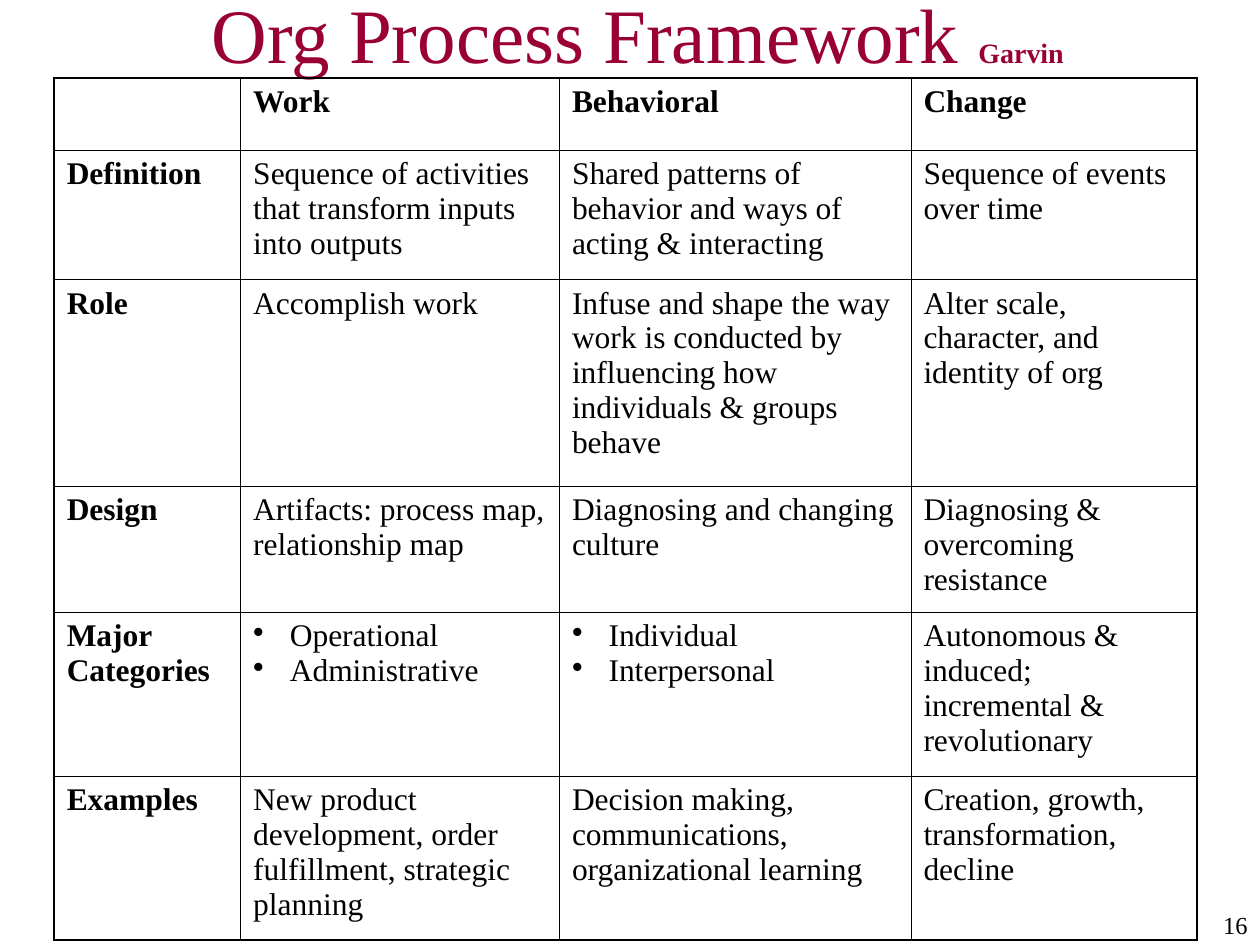
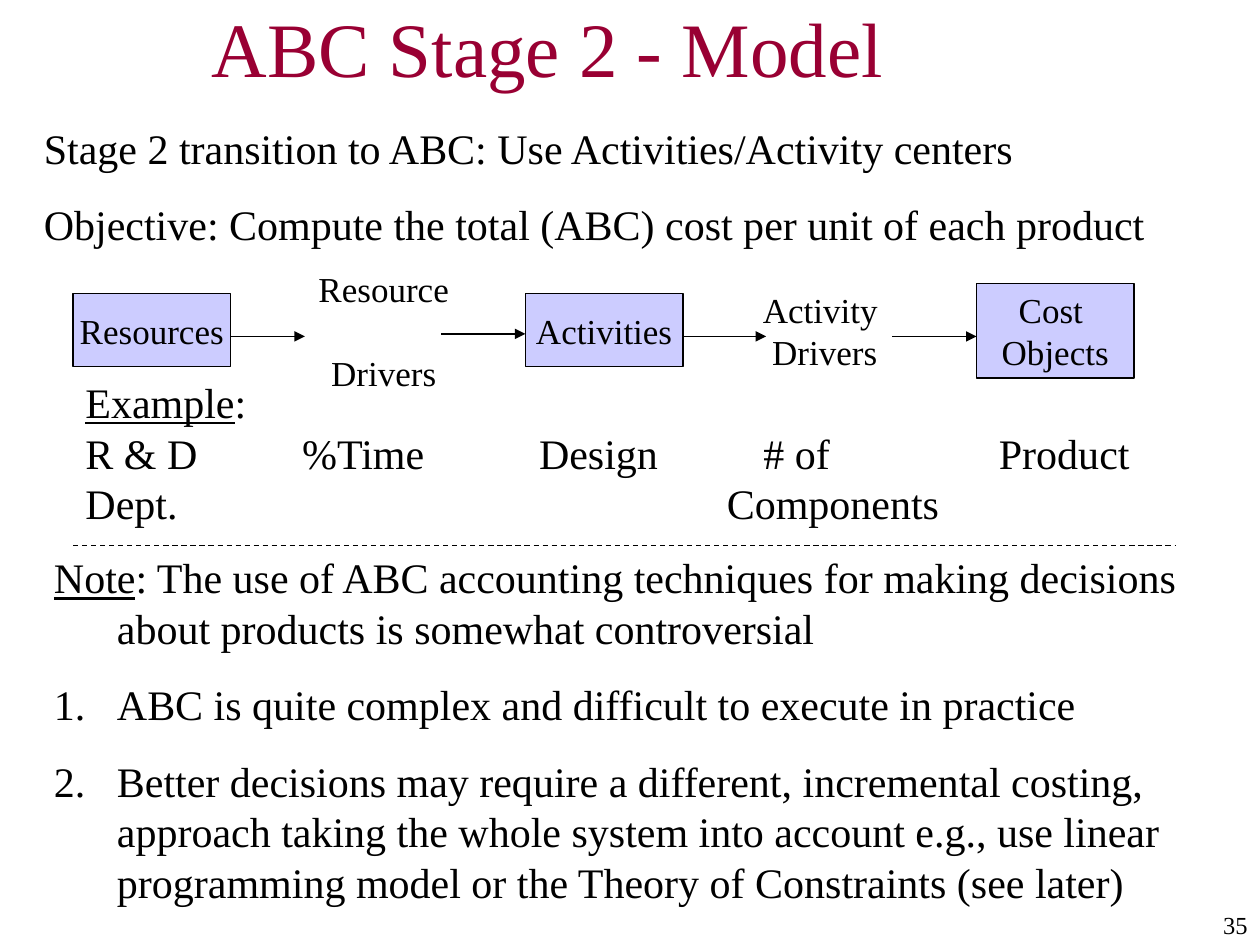
from typing import NamedTuple

from lxml.etree import SubElement
from pptx import Presentation
from pptx.dml.color import RGBColor
from pptx.enum.dml import MSO_LINE_DASH_STYLE as Dash
from pptx.enum.shapes import MSO_CONNECTOR as Connector, MSO_SHAPE as Shape
from pptx.enum.text import MSO_ANCHOR as Anchor, PP_ALIGN as Align
from pptx.oxml.ns import qn
from pptx.util import Inches, Pt

COLORS = {"ink": "000000", "title": "990033", "box": "CCCCFF", "paper": "FFFFFF"}
FONT = "Times New Roman"
LEADING = 1.2
THIN, THICK = Pt(0.45), Pt(1.08)


class Span(NamedTuple):
    text: str
    size: float | None = None
    bold: bool = False
    underline: bool = False


class Para(NamedTuple):
    spans: list[Span]
    before: float = 0
    hanging: float = 0
    bullet: str = ""
    number: str = ""
    tabs: tuple[float, ...] = ()


class FlowStep(NamedTuple):
    text: str
    left: float
    top: float
    height: float
    boxed: bool


class Arrow(NamedTuple):
    start: float
    end: float
    y: float


FRAMEWORK_COLUMNS = [1.48, 2.53, 2.79, 2.27]
FRAMEWORK_ROWS = [0.57, 1.03, 1.64, 1, 1.3, 1.3]
FRAMEWORK = [
    ["", "Work", "Behavioral", "Change"],
    ["Definition", "Sequence of activities that transform inputs into outputs",
     "Shared patterns of behavior and ways of acting & interacting",
     "Sequence of events over time"],
    ["Role", "Accomplish work",
     "Infuse and shape the way work is conducted by influencing how individuals & groups behave",
     "Alter scale, character, and identity of org"],
    ["Design", "Artifacts: process map, relationship map",
     "Diagnosing and changing culture", "Diagnosing & overcoming resistance"],
    ["Major Categories", ["Operational", "Administrative"],
     ["Individual", "Interpersonal"],
     "Autonomous & induced; incremental & revolutionary"],
    ["Examples", "New product development, order fulfillment, strategic planning",
     "Decision making, communications, organizational learning",
     "Creation, growth, transformation, decline"],
]

FLOW = [
    FlowStep("Resources", 0.58, 2.33, 0.58, True),
    FlowStep("Resource \vDrivers", 2.42, 2.25, 0.75, False),
    FlowStep("Activities", 4.17, 2.33, 0.58, True),
    FlowStep("Activity \vDrivers", 5.92, 2.25, 0.75, False),
    FlowStep("Cost \vObjects", 7.75, 2.25, 0.75, True),
]
ARROWS = [
    Arrow(1.83, 2.42, 2.67),
    Arrow(3.5, 4.17, 2.65),
    Arrow(5.42, 6.08, 2.67),
    Arrow(7.08, 7.75, 2.67),
]


def rgb(name: str) -> RGBColor:
    return RGBColor.from_string(COLORS[name])


def write(frame, content, *, size=24, color="ink", align=Align.LEFT,
          anchor=Anchor.TOP, wrap=True, leading=LEADING):
    frame.word_wrap = wrap
    frame.vertical_anchor = anchor
    fill_paragraphs(frame, content, size=size, color=color, align=align, leading=leading)


def fill_paragraphs(frame, content, *, size=24, color="ink", align=Align.LEFT, leading=None):
    paras = [Para([Span(content)])] if isinstance(content, str) else content
    for index, para in enumerate(paras):
        paragraph = frame.add_paragraph() if index else frame.paragraphs[0]
        paragraph.alignment = align
        paragraph.space_before = Pt(para.before)
        if leading:
            paragraph.line_spacing = Pt(size * leading)
        set_indents(paragraph, para)
        for span in para.spans:
            for line, piece in enumerate(span.text.split("\v")):
                if line:
                    paragraph.add_line_break()
                run = paragraph.add_run()
                run.text = piece
                run.font.name = FONT
                run.font.size = Pt(span.size or size)
                run.font.bold = span.bold
                run.font.underline = span.underline
                run.font.color.rgb = rgb(color)


def set_indents(paragraph, para: Para):
    props = paragraph._p.get_or_add_pPr()
    if para.hanging:
        props.set("marL", str(Inches(para.hanging)))
        props.set("indent", str(-Inches(para.hanging)))
    if para.bullet:
        SubElement(props, qn("a:buChar"), char=para.bullet)
    if para.number:
        SubElement(props, qn("a:buAutoNum"), type=para.number)
    if para.tabs:
        stops = SubElement(props, qn("a:tabLst"))
        for stop in para.tabs:
            SubElement(stops, qn("a:tab"), pos=str(Inches(stop)), algn="l")


def add_text(slide, content, left: float, top: float, width: float, height: float, **style):
    box = slide.shapes.add_textbox(Inches(left), Inches(top), Inches(width), Inches(height))
    write(box.text_frame, content, **style)


def add_line(slide, start: float, end: float, y: float, *, arrow=False, dashed=False):
    line = slide.shapes.add_connector(
        Connector.STRAIGHT, Inches(start), Inches(y), Inches(end), Inches(y))
    line.line.color.rgb = rgb("ink")
    line.line.width = Pt(0.75)
    if dashed:
        line.line.dash_style = Dash.DASH
    if arrow:
        SubElement(line.line._get_or_add_ln(), qn("a:tailEnd"), type="triangle")
    SubElement(line._element.spPr, qn("a:effectLst"))


def add_flow_step(slide, step: FlowStep):
    style = dict(size=20, align=Align.CENTER, anchor=Anchor.MIDDLE, wrap=False)
    if not step.boxed:
        add_text(slide, step.text, step.left, step.top, 1.25, step.height, **style)
        return
    box = slide.shapes.add_shape(
        Shape.RECTANGLE, Inches(step.left), Inches(step.top), Inches(1.25), Inches(step.height))
    box.shadow.inherit = False
    box.fill.solid()
    box.fill.fore_color.rgb = rgb("box")
    box.line.color.rgb = rgb("ink")
    box.line.width = Pt(0.75)
    write(box.text_frame, step.text, **style)


def set_borders(cell, **widths):
    props = cell._tc.get_or_add_tcPr()
    for side in ("L", "R", "T", "B"):
        border = SubElement(props, qn(f"a:ln{side}"), w=str(widths[side]))
        ink = SubElement(border, qn("a:solidFill"))
        SubElement(ink, qn("a:srgbClr"), val=COLORS["ink"])


def add_framework(slide):
    rows, columns = len(FRAMEWORK_ROWS), len(FRAMEWORK_COLUMNS)
    table = slide.shapes.add_table(
        rows, columns, Inches(0.43), Inches(0.62),
        Inches(sum(FRAMEWORK_COLUMNS)), Inches(sum(FRAMEWORK_ROWS))).table
    table.first_row = table.horz_banding = False
    for column, width in zip(table.columns, FRAMEWORK_COLUMNS):
        column.width = Inches(width)
    for r, (height, entries) in enumerate(zip(FRAMEWORK_ROWS, FRAMEWORK)):
        table.rows[r].height = Inches(height)
        for c, entry in enumerate(entries):
            cell = table.cell(r, c)
            set_borders(cell,
                        L=THIN if c else THICK, R=THICK if c == columns - 1 else THIN,
                        T=THIN if r else THICK, B=THICK if r == rows - 1 else THIN)
            cell.fill.background()
            if isinstance(entry, list):
                content = [Para([Span(item)], hanging=0.29, bullet="•") for item in entry]
            else:
                content = [Para([Span(entry, bold=r == 0 or c == 0)])]
            fill_paragraphs(cell.text_frame, content, size=18)


def new_slide(deck, title: list[Span], title_top: float, number: int):
    slide = deck.slides.add_slide(deck.slide_layouts[6])
    slide.background.fill.solid()
    slide.background.fill.fore_color.rgb = rgb("paper")
    add_text(slide, str(number), 8.58, 7.17, 1.42, 0.33, size=14, align=Align.RIGHT)
    add_text(slide, [Para(title)], 1.58, title_top, 8.42, 0.58,
             size=44, color="title", anchor=Anchor.MIDDLE)
    return slide


def build_framework_slide(deck):
    title = [Span("Org Process Framework "), Span("Garvin", size=16, bold=True)]
    add_framework(new_slide(deck, title, -0.03, 16))


def build_costing_slide(deck):
    slide = new_slide(deck, [Span("ABC Stage 2 - Model")], 0.08, 35)
    for step in FLOW:
        add_flow_step(slide, step)
    for arrow in ARROWS:
        add_line(slide, *arrow, arrow=True)
    add_text(slide, [
        Para([Span("Example", underline=True), Span(":")]),
        Para([Span("R & D\t%Time\tDesign\t# of\tProduct")], tabs=(1.72, 3.6, 5.38, 7.25)),
        Para([Span("Dept.\tComponents")], tabs=(5.09,)),
    ], 0.58, 2.94, 8.5, 1.3)
    add_line(slide, 0.58, 9.33, 4.33, dashed=True)
    add_text(slide, [
        Para([Span("Stage 2 transition to ABC: Use Activities/Activity centers")]),
        Para([Span("Objective: Compute the total (ABC) cost per unit of each product")], before=15),
    ], 0.25, 0.92, 9.5, 1.11)
    drawbacks = [
        "ABC is quite complex and difficult to execute in practice",
        "Better decisions may require a different, incremental costing, approach taking the "
        "whole system into account e.g., use linear programming model or the Theory of "
        "Constraints (see later)",
    ]
    note = Para([
        Span("Note", underline=True),
        Span(": The use of ABC accounting techniques for making decisions about products "
             "is somewhat controversial"),
    ], hanging=0.5)
    add_text(slide, [note] + [
        Para([Span(text)], before=15, hanging=0.5, number="arabicPeriod") for text in drawbacks
    ], 0.33, 4.33, 9.33, 2.92)


def main():
    deck = Presentation()
    deck.slide_width, deck.slide_height = Inches(10), Inches(7.5)
    build_framework_slide(deck)
    build_costing_slide(deck)
    deck.save("out.pptx")


if __name__ == "__main__":
    main()
